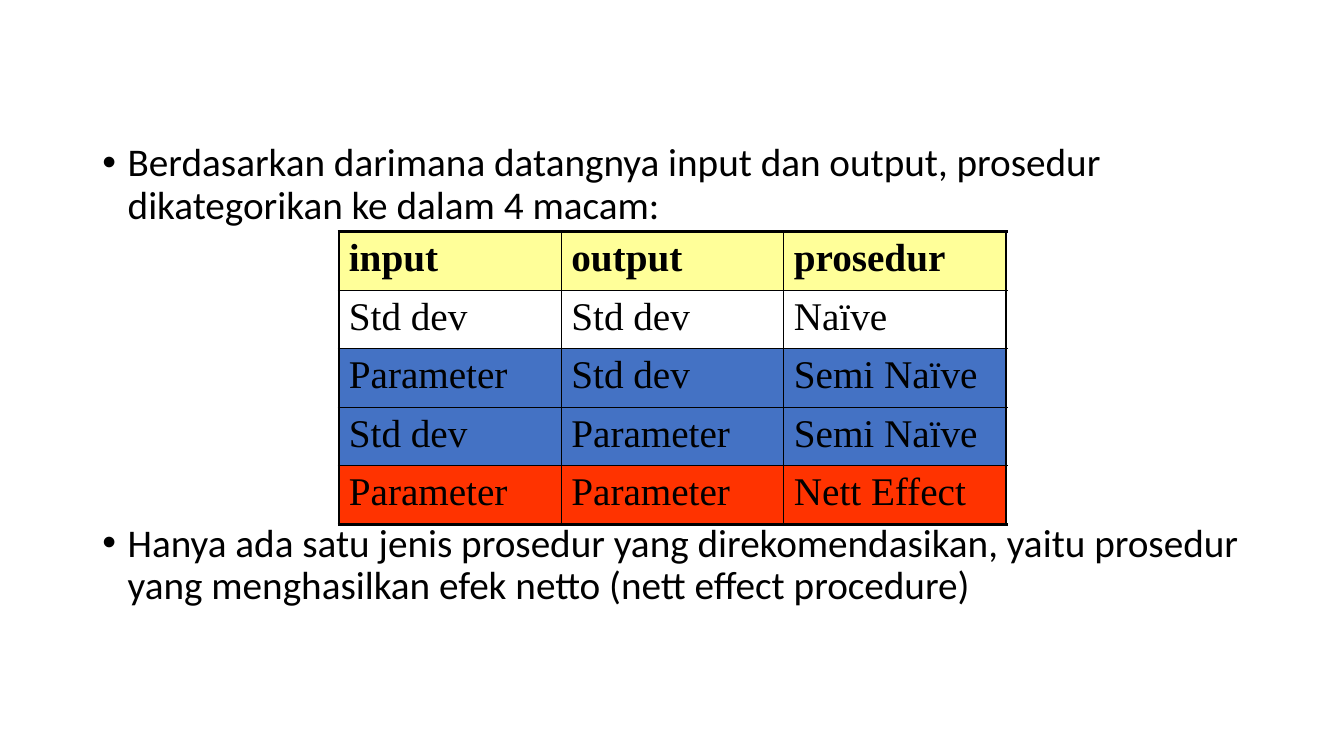
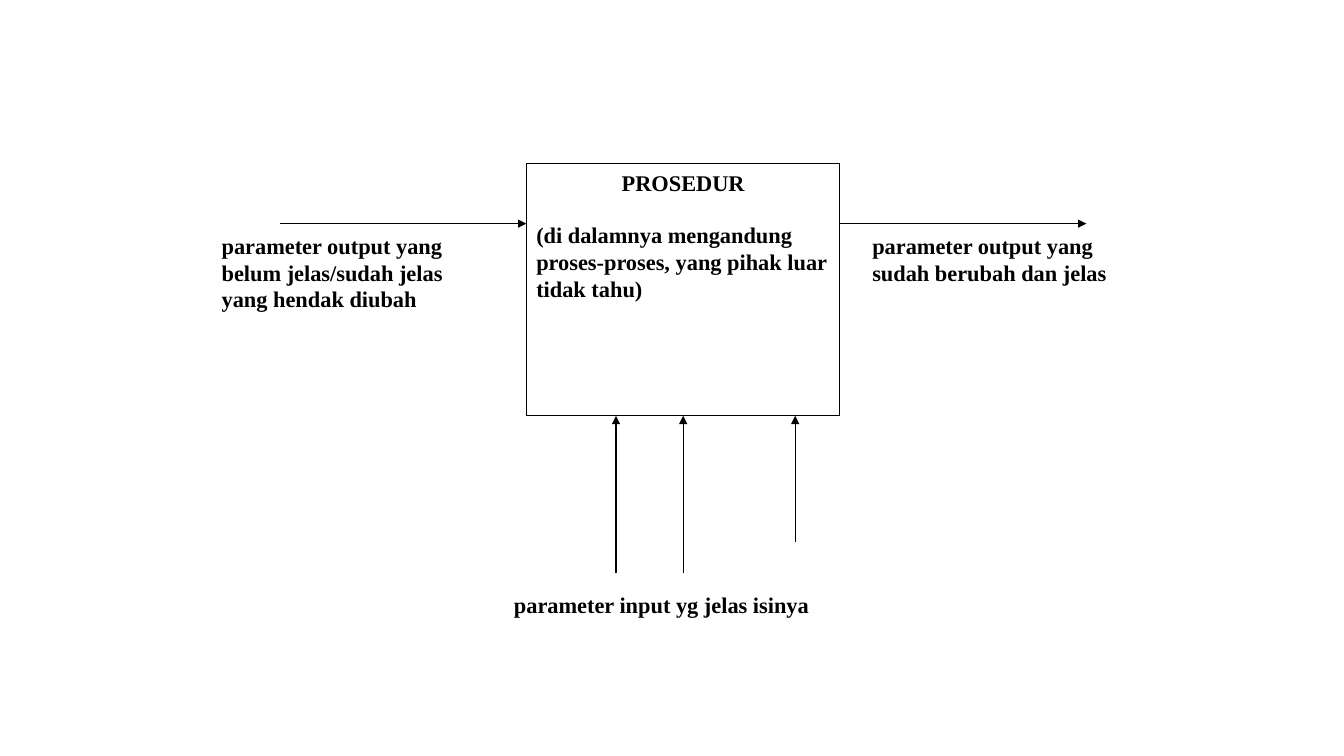
import pptx
import pptx.util
import pptx.dml.color
import pptx.enum.shapes
import pptx.enum.text
import pptx.oxml.ns
import lxml.etree

COLORS = {"ink": "000000", "paper": "FFFFFF", "head": "FFFF99",
          "semi": "4472C4", "nett": "FF3300"}
SANS, SERIF = "Calibri", "Times New Roman"
WIDE, HIGH = 13.33, 7.5    # slide size in inches
COLS, ROWS = 120, 24       # layout grid
LABEL = {"size": 16, "bold": True}
LEFT = pptx.enum.text.PP_ALIGN.LEFT
CENTER = pptx.enum.text.PP_ALIGN.CENTER


def tint(name):
    return pptx.dml.color.RGBColor.from_string(COLORS[name])


def add_node(owner, tag, **attrs):
    return lxml.etree.SubElement(owner, pptx.oxml.ns.qn(tag), attrs)


def write(frame, text, size=28, face=SERIF, bold=False, align=LEFT,
          before=0, lines=None, bullet=None):
    """Fill the first empty paragraph of a frame, or append a new one."""
    para = frame.paragraphs[0]
    if para.runs:
        para = frame.add_paragraph()
    if bullet:
        props = para._p.get_or_add_pPr()
        hang = pptx.util.Inches(0.25)
        props.set("marL", str(hang))
        props.set("indent", str(-hang))
        add_node(props, "a:buFont", typeface="Arial")
        add_node(props, "a:buChar", char=bullet)
    para.alignment = align
    para.space_before = pptx.util.Pt(before)
    if lines:
        para.line_spacing = lines
    run = para.add_run()
    run.text = text
    run.font.size = pptx.util.Pt(size)
    run.font.name = face
    run.font.bold = bold
    run.font.color.rgb = tint("ink")


class Deck:
    def __init__(self):
        self.prs = pptx.Presentation()
        self.prs.slide_width = pptx.util.Inches(WIDE)
        self.prs.slide_height = pptx.util.Inches(HIGH)
        self.slide = None

    # Grid lengths
    def across(self, cols):
        return round(self.prs.slide_width * cols / COLS)

    def down(self, rows):
        return round(self.prs.slide_height * rows / ROWS)

    def place(self, x, y, w, h):
        return self.across(x), self.down(y), self.across(w), self.down(h)

    # Slides and their parts
    def start(self, layout):
        self.slide = self.prs.slides.add_slide(self.prs.slide_layouts[layout])
        title = self.slide.shapes.title
        if title is not None:
            title.element.getparent().remove(title.element)

    def list(self, spot, items):
        body = self.slide.placeholders[1]
        body.left, body.top, body.width, body.height = self.place(*spot)
        frame = body.text_frame
        frame.auto_size = pptx.enum.text.MSO_AUTO_SIZE.NONE
        for text, before in items:
            write(frame, text, face=SANS, before=before, lines=0.9, bullet="•")

    def table(self, spot, rows, fills):
        count, width = len(rows), len(rows[0])
        grid = self.slide.shapes.add_table(count, width, *self.place(*spot)).table
        grid.first_row = grid.horz_banding = False
        for r, (row, fill) in enumerate(zip(rows, fills)):
            for c, text in enumerate(row):
                cell = grid.cell(r, c)
                outer = {"L": c == 0, "R": c == width - 1,
                         "T": r == 0, "B": r == count - 1}
                self.edge(cell, outer)
                if fill:
                    cell.fill.solid()
                    cell.fill.fore_color.rgb = tint(fill)
                else:
                    cell.fill.background()
                write(cell.text_frame, text, bold=r == 0)

    def edge(self, cell, outer):
        props = cell._tc.get_or_add_tcPr()
        for side, thick in outer.items():
            line = add_node(props, f"a:ln{side}",
                            w=str(pptx.util.Pt(2 if thick else 1)))
            add_node(add_node(line, "a:solidFill"), "a:srgbClr", val=COLORS["ink"])

    def box(self, spot):
        rect = self.slide.shapes.add_shape(
            pptx.enum.shapes.MSO_SHAPE.RECTANGLE, *self.place(*spot))
        rect.shadow.inherit = False
        rect.fill.solid()
        rect.fill.fore_color.rgb = tint("paper")
        rect.line.color.rgb = tint("ink")
        rect.line.width = pptx.util.Pt(0.75)
        rect.text_frame.word_wrap = True
        rect.text_frame.vertical_anchor = pptx.enum.text.MSO_ANCHOR.TOP
        return rect

    def label(self, spot, text):
        frame = self.slide.shapes.add_textbox(*self.place(*spot)).text_frame
        frame.word_wrap = True
        write(frame, text, **LABEL)

    def arrow(self, x1, y1, x2, y2):
        line = self.slide.shapes.add_connector(
            pptx.enum.shapes.MSO_CONNECTOR.STRAIGHT,
            self.across(x1), self.down(y1), self.across(x2), self.down(y2))
        line.line.color.rgb = tint("ink")
        line.line.width = pptx.util.Pt(0.75)
        add_node(line.line._get_or_add_ln(), "a:tailEnd", type="triangle")
        add_node(line._element.spPr, "a:effectLst")
        return line


def show_kinds(deck):
    deck.start(1)
    # The second item clears the table
    deck.list((8.25, 4.38, 103.5, 17.2), [
        ("Berdasarkan darimana datangnya input dan output, prosedur "
         "dikategorikan ke dalam 4 macam:", 0),
        ("Hanya ada satu jenis prosedur yang direkomendasikan, yaitu prosedur "
         "yang menghasilkan efek netto (nett effect procedure)", 211)])
    deck.table((30.25, 7.35, 59.6, 9.3), [
        ("input", "output", "prosedur"),
        ("Std dev", "Std dev", "Naïve"),
        ("Parameter", "Std dev", "Semi Naïve"),
        ("Std dev", "Parameter", "Semi Naïve"),
        ("Parameter", "Parameter", "Nett Effect")],
        ("head", None, "semi", "semi", "nett"))


def show_flow(deck):
    deck.start(6)
    # Procedure box
    left, top, width, height = 47, 5.2, 28, 8
    right, base, mid = left + width, top + height, left + width / 2
    box = deck.box((left, top, width, height))
    write(box.text_frame, "PROSEDUR", align=CENTER, **LABEL)
    write(box.text_frame, "(di dalamnya mengandung proses-proses, yang pihak "
          "luar tidak tahu)", before=18.4, **LABEL)

    # Output arrows, in and out
    reach, level = 22, 7.1
    deck.arrow(left - reach, level, left, level)
    deck.arrow(right, level, right + reach, level)

    # Input arrows from below
    deck.arrow(mid - 6, base + 5, mid - 6, base)
    deck.arrow(mid, base + 5, mid, base).end_connect(box, 2)
    deck.arrow(mid + 10, base + 4, mid + 10, base)

    # Labels
    deck.label((18.9, 7.2, 22, 6),
               "parameter output yang belum jelas/sudah jelas yang hendak diubah")
    deck.label((77, 7.2, 24, 5), "parameter output yang sudah berubah dan jelas")
    deck.label((45, 18.6, 34, 3), "parameter input yg jelas isinya")


def main():
    deck = Deck()
    show_kinds(deck)
    show_flow(deck)
    deck.prs.save("out.pptx")


if __name__ == "__main__":
    main()
